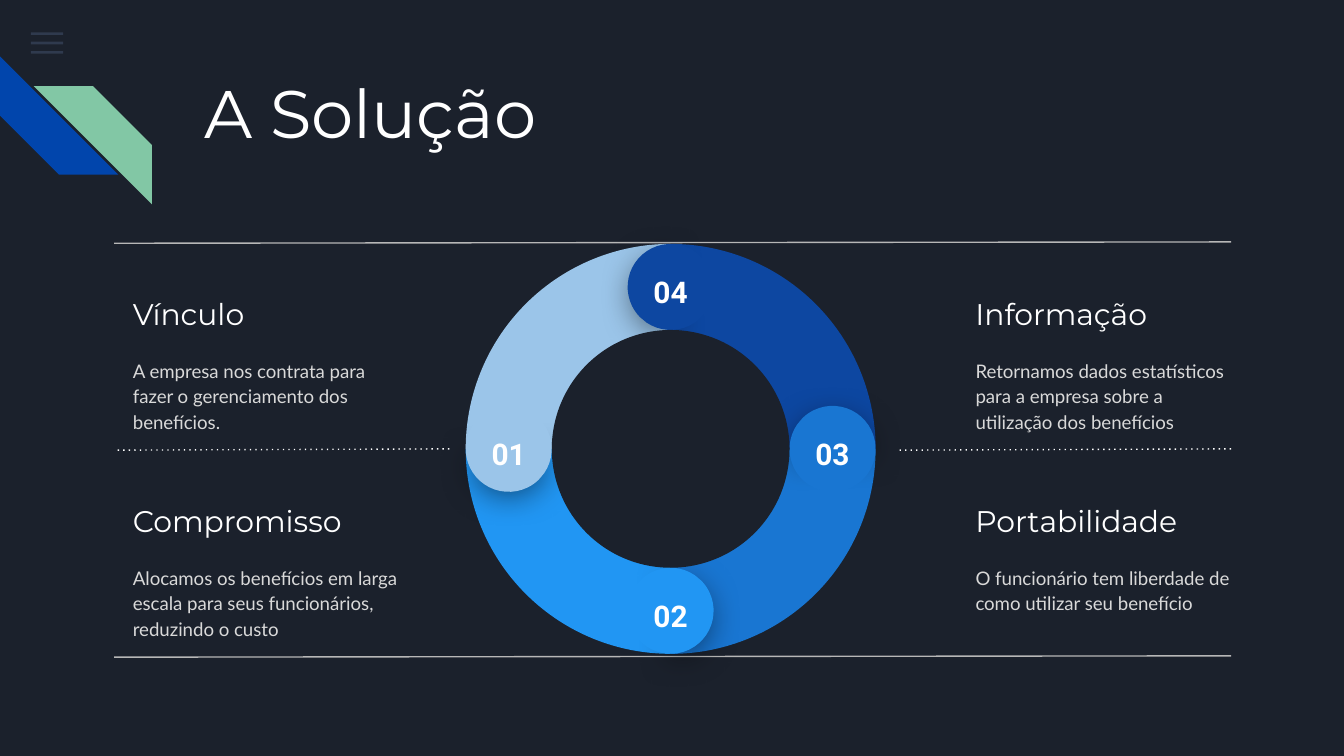
from math import cos, radians, sin

from lxml.etree import SubElement
from pptx import Presentation
from pptx.dml.color import RGBColor
from pptx.enum.shapes import MSO_CONNECTOR, MSO_SHAPE as SHAPE
from pptx.enum.text import MSO_ANCHOR as ANCHOR, MSO_AUTO_SIZE, PP_ALIGN as ALIGN
from pptx.oxml.ns import qn
from pptx.util import Inches, Pt

W = 10
H = W * 9 / 16
COLORS = {
    "bg": "1B212C", "white": "FFFFFF", "body": "D9D9D9", "rule": "B7B7B7",
    "menu": "55688B", "blue": "0145AC", "green": "82C7A5", "shadow": "000000",
    "01": "9BC5E9", "02": "2196F3", "03": "1976D2", "04": "0D47A1",
}
# Each column of topics: heading and body
LEFT = [
    ("Vínculo", "A empresa nos contrata para fazer o gerenciamento dos benefícios."),
    ("Compromisso", "Alocamos os benefícios em larga escala para seus funcionários, reduzindo o custo"),
]
RIGHT = [
    ("Informação", "Retornamos dados estatísticos para a empresa sobre a utilização dos benefícios"),
    ("Portabilidade", "O funcionário tem liberdade de como utilizar seu benefício"),
]


def rgb(name):
    return RGBColor.from_string(COLORS[name])


def add_shape(shapes, kind, x, y, w, h, color, rot=0, adj=()):
    sp = shapes.add_shape(kind, Inches(x), Inches(y), Inches(w), Inches(h))
    sp.shadow.inherit = False
    sp.fill.solid()
    sp.fill.fore_color.rgb = rgb(color)
    sp.line.fill.background()
    sp.rotation = rot
    for i, value in enumerate(adj):
        sp.adjustments[i] = value
    return sp


def add_disc(shapes, kind, cx, cy, d, color, rot=0, adj=()):
    """Round shape of diameter d centred on (cx, cy)."""
    return add_shape(shapes, kind, cx - d / 2, cy - d / 2, d, d, color, rot, adj)


def format_text(sp, text, size, font, color="white", bold=False, anchor=ANCHOR.TOP, align=ALIGN.LEFT):
    tf = sp.text_frame
    tf.word_wrap = True
    tf.auto_size = MSO_AUTO_SIZE.NONE
    tf.vertical_anchor = anchor
    tf.margin_left = tf.margin_right = tf.margin_top = tf.margin_bottom = Inches(0.1)
    tf.text = text
    p = tf.paragraphs[0]
    p.alignment = align
    f = p.runs[0].font
    f.size, f.name, f.bold = Pt(size), font, bold
    f.color.rgb = rgb(color)
    return p


def add_text(s, x, y, w, h, *args, **kwargs):
    sp = s.shapes.add_textbox(Inches(x), Inches(y), Inches(w), Inches(h))
    return format_text(sp, *args, **kwargs)


def add_rule(s, x1, x2, y, color, dotted=False):
    """Thin rule that drops slightly from right to left."""
    ln = s.shapes.add_connector(MSO_CONNECTOR.STRAIGHT, Inches(x2), Inches(y), Inches(x1), Inches(y + 0.01))
    ln.line.color.rgb = rgb(color)
    ln.line.width = Pt(0.75)
    if dotted:
        SubElement(ln._element.spPr.find(qn("a:ln")), qn("a:prstDash"), val="dot")
    SubElement(ln._element.spPr, qn("a:effectLst"))


def add_alpha(color_parent, percent):
    SubElement(color_parent.find(".//" + qn("a:srgbClr")), qn("a:alpha"), val=str(percent * 1000))


def add_drop_shadow(sp):
    effects = sp._element.spPr.find(qn("a:effectLst"))
    shadow = SubElement(effects, qn("a:outerShdw"), blurRad=str(Pt(18)), dist=str(Pt(4)),
                        dir=str(90 * 60000), algn="bl", rotWithShape="0")
    SubElement(shadow, qn("a:srgbClr"), val=COLORS["shadow"])
    add_alpha(shadow, 55)


def add_menu(s, x, y, w):
    for i in range(3):
        bar = add_shape(s.shapes, SHAPE.RECTANGLE, x, y + i * 0.07, w, 0.02, "menu")
        add_alpha(bar._element.spPr, 36)


def add_stripes(s, x, y, size):
    grp = s.shapes.add_group_shape().shapes
    add_shape(grp, SHAPE.DIAGONAL_STRIPE, x, y, size, size, "blue", 270, [0.5])
    green = add_shape(grp, SHAPE.DIAGONAL_STRIPE, x + size * 0.285, y + size / 4, size, size, "green", 0, [0.5])
    green._element.spPr.find(qn("a:xfrm")).set("flipH", "1")


def add_title(s, x, y, w, h, text):
    sp = s.shapes.title
    sp.left, sp.top, sp.width, sp.height = (Inches(v) for v in (x, y, w, h))
    format_text(sp, text, 36, "Montserrat")


def add_rules(s, x, y, w, h):
    part = 0.3 * w
    add_rule(s, x, x + w, y, "rule")
    add_rule(s, x, x + part, y + h / 2, "white", dotted=True)
    add_rule(s, x + w - part, x + w, y + h / 2, "white", dotted=True)
    add_rule(s, x, x + w, y + h, "rule")


def add_ring(s, cx, cy, d):
    """Four quarters with overlapping round caps, numbered counter-clockwise from the left."""
    steps = [(f"{i + 1:02}", -90 * i) for i in range(4)]
    for label, turn in steps:
        add_disc(s.shapes, SHAPE.PIE, cx, cy, d, label, turn % 360, [108, 162])
    r = 0.395 * d
    for label, turn in steps:
        angle = radians(180 + turn)
        x, y = cx + r * cos(angle), cy + r * sin(angle)
        grp = s.shapes.add_group_shape().shapes
        cap = add_disc(grp, SHAPE.PIE, x, y, 0.57, label, (39.5 + turn) % 360, [189.54, 83.81])
        add_drop_shadow(cap)
        add_disc(grp, SHAPE.CHORD, x, y, 0.64, label, (4.1 + turn) % 360, [25, 18.12])
        add_text(s, x - 0.28, y - 0.2, 0.56, 0.29, label, 16, "Roboto", bold=True, align=ALIGN.CENTER)
    add_disc(s.shapes, SHAPE.OVAL, cx, cy, 0.58 * d, "bg")


def add_topics(s, x, y, w, row_h, topics):
    for i, (heading, body) in enumerate(topics):
        top = y + i * row_h
        add_text(s, x, top, 2.03, 0.49, heading, 16, "Montserrat", anchor=ANCHOR.MIDDLE)
        p = add_text(s, x, top + 0.46, w, 0.76, body, 10, "Lato", "body")
        p.line_spacing = 1.15
        p.space_after = Pt(16)


def main():
    prs = Presentation()
    prs.slide_width, prs.slide_height = Inches(W), Inches(H)
    s = prs.slides.add_slide(prs.slide_layouts[5])
    s.background.fill.solid()
    s.background.fill.fore_color.rgb = rgb("bg")

    # Header
    add_menu(s, 0.23, 0.24, 0.24)
    add_stripes(s, 0, 0.42, 0.88)
    add_title(s, 1.42, 0.43, 0.77 * W, 1, "A Solução")

    # Rules, ring and topics
    row_h = 1.54
    add_rules(s, 0.85, 1.8, 8.31, 2 * row_h)
    add_ring(s, 4.99, 3.34, 3.05)
    add_topics(s, 0.89, 2.09, 2.18, row_h, LEFT)
    add_topics(s, 7.16, 2.09, 2.18, row_h, RIGHT)

    prs.save("out.pptx")


if __name__ == "__main__":
    main()
